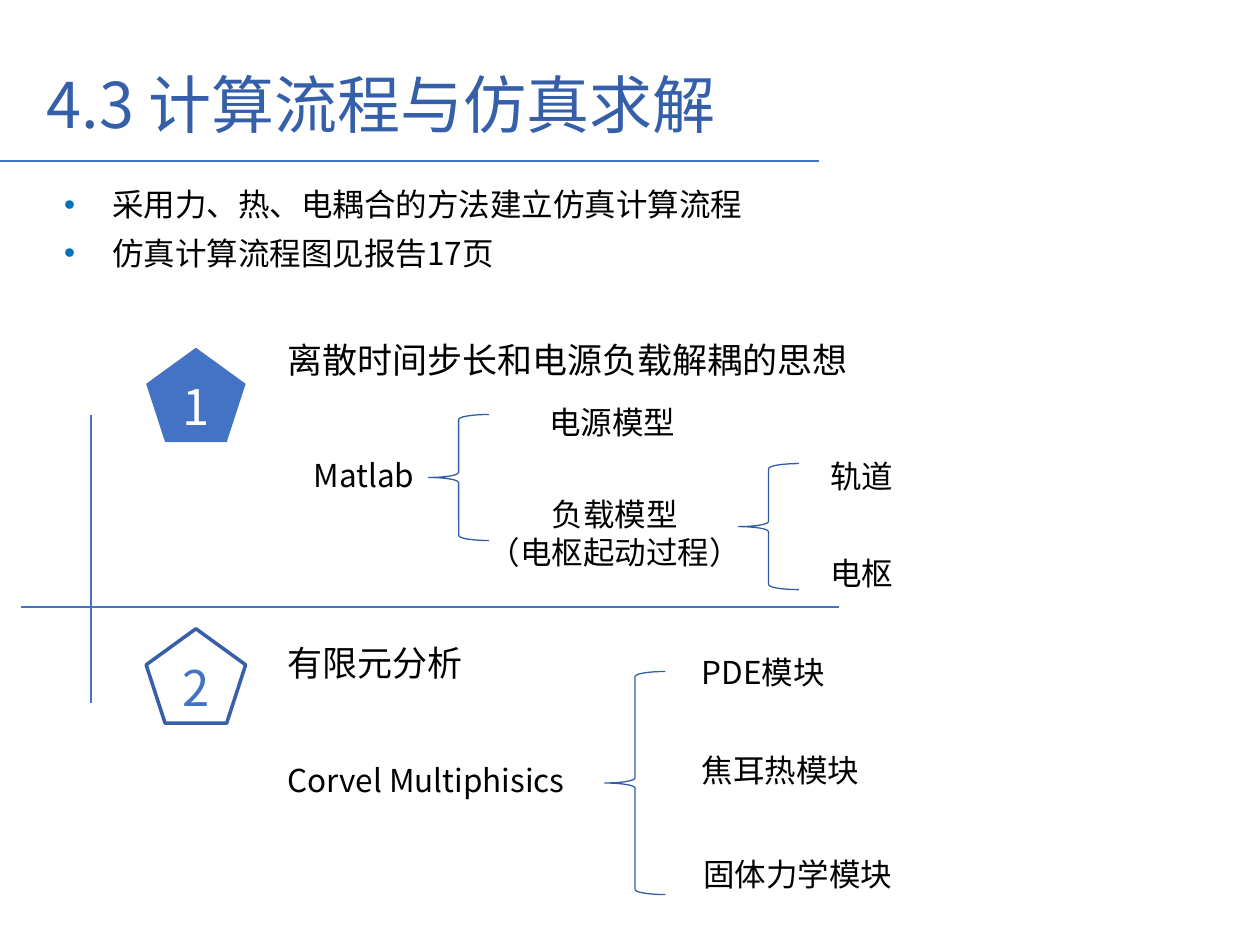
"""Build the slide on the calculation flow and simulation solving."""
from lxml import etree
from pptx import Presentation
from pptx import util as u
from pptx.dml.color import RGBColor
from pptx.enum import shapes, text
from pptx.oxml.ns import qn

PX = 9144
FONT = "Noto Sans CJK SC"
COLORS = {"ink": "000000", "white": "FFFFFF", "blue": "4472C4",
          "deep": "365FAA", "brace": "325CA9", "bullet": "0070C0"}
LEFT, CENTER = text.PP_ALIGN.LEFT, text.PP_ALIGN.CENTER

TITLE = ("4.3 计算流程与仿真求解", (27, 47, 576, 71))
BULLETS = (["采用力、热、电耦合的方法建立仿真计算流程", "仿真计算流程图见报告17页"],
           (41, 142, 876, 79))
HEADINGS = [("离散时间步长和电源负载解耦的思想", (218, 264, 634, 77)),
            ("有限元分析", (218, 504, 634, 44))]
LABELS = [
    (["Matlab"], (239, 357, 105, 40), LEFT, False),
    (["电源模型"], (426, 315, 121, 40), LEFT, False),
    (["负载模型", "（电枢起动过程）"], (377, 388, 222, 71), CENTER, False),
    (["轨道"], (649, 358, 71, 40), LEFT, False),
    (["电枢"], (649, 435, 71, 40), LEFT, False),
    (["Corvel Multiphisics"], (218, 599, 263, 40), LEFT, False),
    (["PDE模块"], (547, 513, 118, 40), LEFT, True),
    (["焦耳热模块"], (547, 591, 146, 40), LEFT, False),
    (["固体力学模块"], (547, 674, 172, 40), CENTER, False),
]
BADGES = [("1", 276, "blue", "white", None), ("2", 499, None, "blue", "deep")]
BRACES = [(340, 329, 48, 100), (586, 368, 48, 100), (480, 533, 48, 177)]
RULES = [(0, 128, 650, 128), (17, 482, 666, 482), (72, 558, 72, 329)]


def emu(values):
    return [u.Emu(value * PX) for value in values]


def rgb(name):
    return RGBColor.from_string(COLORS[name])


def apply(target, formats):
    for name, value in formats.items():
        setattr(target, name, value)


def write(box, lines, size, color="ink", align=LEFT, wrap=True,
          anchor=text.MSO_ANCHOR.TOP, after=0, fit=text.MSO_AUTO_SIZE.SHAPE_TO_FIT_TEXT):
    frame = box.text_frame
    frame.text = "\n".join(lines)
    apply(frame, {"word_wrap": wrap, "vertical_anchor": anchor, "auto_size": fit})
    for para in frame.paragraphs:
        apply(para, {"alignment": align, "space_before": u.Pt(0), "space_after": u.Pt(after)})
        for span in para.runs:
            apply(span.font, {"name": FONT, "size": u.Pt(size)})
            span.font.color.rgb = rgb(color)
            east = etree.SubElement(span.font._element, qn("a:ea"))
            east.set("typeface", FONT)


def place(box, bounds):
    apply(box, dict(zip(("left", "top", "width", "height"), emu(bounds))))


def add_label(page, lines, bounds, size, align=LEFT, wrap=True):
    write(page.shapes.add_textbox(*emu(bounds)), lines, size, align=align, wrap=wrap)


def add_outline(page, kind, bounds, fill, line, width):
    shape = page.shapes.add_shape(kind, *emu(bounds))
    shape.shadow.inherit = False
    if fill:
        shape.fill.solid()
        shape.fill.fore_color.rgb = rgb(fill)
    else:
        shape.fill.background()
    if line:
        shape.line.color.rgb = rgb(line)
        shape.line.width = u.Pt(width)
    else:
        shape.line.fill.background()
    return shape


def add_rule(page, ends):
    rule = page.shapes.add_connector(shapes.MSO_CONNECTOR.STRAIGHT, *emu(ends))
    rule.line.color.rgb = rgb("blue")
    rule.line.width = u.Pt(1.25)
    etree.SubElement(rule._element.spPr, qn("a:effectLst"))


def add_bullets(box):
    indent = 38 * PX
    for para in box.text_frame.paragraphs:
        props = para._p.get_or_add_pPr()
        props.set("marL", str(indent))
        props.set("indent", str(-indent))
        tint = etree.SubElement(props, qn("a:buClr"))
        etree.SubElement(tint, qn("a:srgbClr")).set("val", COLORS["bullet"])
        etree.SubElement(props, qn("a:buFont")).set("typeface", "Arial")
        etree.SubElement(props, qn("a:buChar")).set("char", "•")


def main():
    deck = Presentation()
    deck.slide_width, deck.slide_height = emu((1000, 750))
    page = deck.slides.add_slide(deck.slide_layouts[1])

    title, body = page.placeholders
    place(title, TITLE[1])
    write(title, [TITLE[0]], 36, "deep", wrap=False)
    place(body, BULLETS[1])
    write(body, BULLETS[0], 18, after=6)
    add_bullets(body)

    for ends in RULES:
        add_rule(page, ends)
    for number, top, fill, color, line in BADGES:
        badge = add_outline(page, shapes.MSO_SHAPE.REGULAR_PENTAGON,
                            (116, top, 79, 75), fill, line, 2)
        write(badge, [number], 28, color, CENTER,
              anchor=text.MSO_ANCHOR.MIDDLE, fit=text.MSO_AUTO_SIZE.NONE)
    for bounds in BRACES:
        add_outline(page, shapes.MSO_SHAPE.LEFT_BRACE, bounds, None, "brace", 0.75)
    for heading, bounds in HEADINGS:
        add_label(page, [heading], bounds, 20)
    for lines, bounds, align, wrap in LABELS:
        add_label(page, lines, bounds, 18, align, wrap)

    deck.save("out.pptx")


if __name__ == "__main__":
    main()
